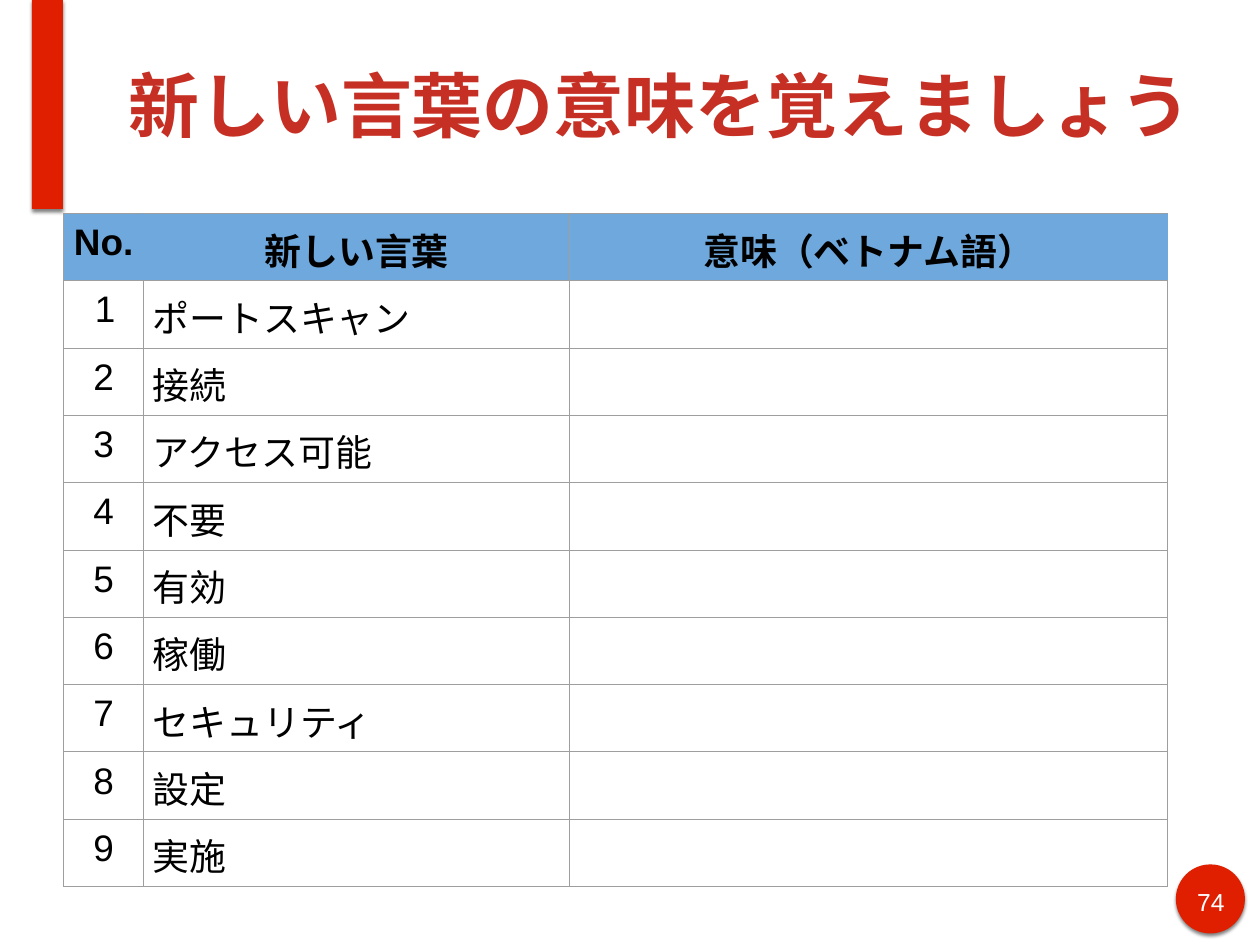
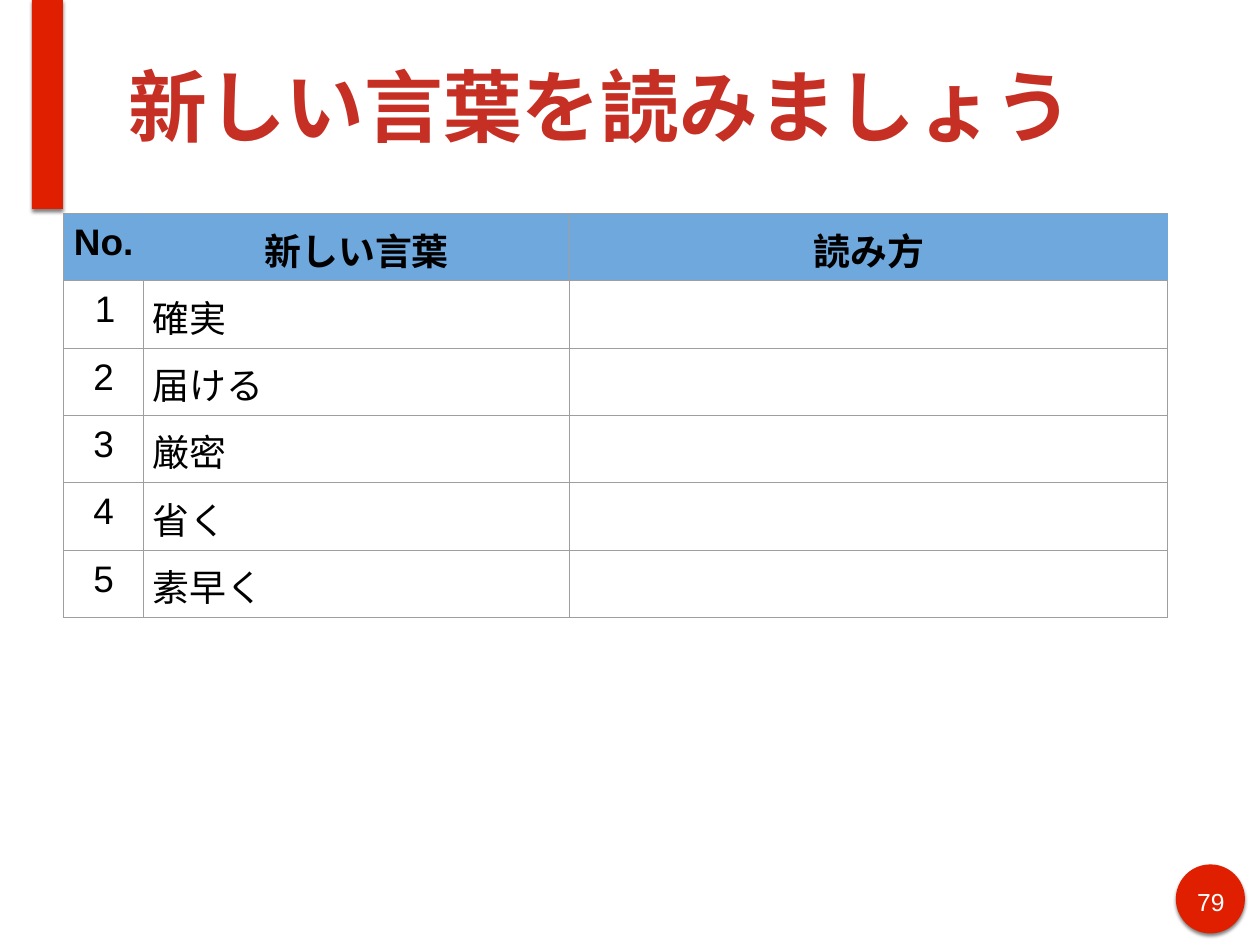
from lxml import etree
from pptx import Presentation
from pptx.dml.color import RGBColor
from pptx.enum.shapes import MSO_SHAPE
from pptx.enum.text import MSO_ANCHOR, PP_ALIGN
from pptx.oxml import parse_xml
from pptx.oxml.ns import nsdecls, qn
from pptx.util import Inches, Pt

OVAL, RECT = MSO_SHAPE.OVAL, MSO_SHAPE.RECTANGLE
LEFT, CENTER = PP_ALIGN.LEFT, PP_ALIGN.CENTER
TOP, MIDDLE = MSO_ANCHOR.TOP, MSO_ANCHOR.MIDDLE

HEX = {"red": "DF1F00", "title": "C63024", "head": "6FA8DC",
       "grid": "9E9E9E", "ink": "000000", "white": "FFFFFF"}
RGB = {name: RGBColor.from_string(code) for name, code in HEX.items()}

# Shared marks: preset shape and its place
MARKS = [(OVAL, (13.27, 9.76, 0.78, 0.78)),
         (RECT, (0.36, 0, 0.35, 2.36))]
SHADOW = ('<a:outerShdw %s blurRad="38100" dist="25400" dir="5400000" '
          'rotWithShape="0"><a:srgbClr val="000000"><a:alpha val="50000"/>'
          '</a:srgbClr></a:outerShdw>' % nsdecls("a"))
COLS = (0.9, 4.81, 6.75)
ROW = 0.76

PAGES = [
    {"no": "74", "title": "新しい言葉の意味を覚えましょう", "size": 57.6,
     "head": "意味（ベトナム語）",
     "words": ["ポートスキャン", "接続", "アクセス可能", "不要", "有効",
               "稼働", "セキュリティ", "設定", "実施"]},
    {"no": "79", "title": "新しい言葉を読みましょう", "size": 64,
     "head": "読み方",
     "words": ["確実", "届ける", "厳密", "省く", "素早く"]},
]


def write(frame, text, size, color, bold=False, align=LEFT):
    para = frame.paragraphs[0]
    para.alignment = align
    run = para.add_run()
    run.text = text
    style = {"name": "Arial", "size": Pt(size), "bold": bold}
    for key, value in style.items():
        setattr(run.font, key, value)
    run.font.color.rgb = RGB[color]
    return para


def edge(cell, colors):
    props = cell._tc.get_or_add_tcPr()
    for spot, (side, color) in enumerate(colors.items()):
        line = etree.Element(qn("a:ln" + side), w=str(Pt(0.75)))
        fill = etree.SubElement(line, qn("a:solidFill"))
        etree.SubElement(fill, qn("a:srgbClr"), val=HEX[color])
        props.insert(spot, line)


deck = Presentation()
deck.slide_width, deck.slide_height = Inches(14.22), Inches(10.67)

for page in PAGES:
    slide = deck.slides.add_slide(deck.slide_layouts[6])
    shapes = slide.shapes

    # Red band and page disc
    for kind, place in MARKS:
        mark = shapes.add_shape(kind, *map(Inches, place))
        mark.fill.solid()
        mark.fill.fore_color.rgb = RGB["red"]
        mark.line.fill.background()
        mark.shadow.inherit = False
        effects = mark._element.spPr.find(qn("a:effectLst"))
        effects.append(parse_xml(SHADOW))

    # Page number and title
    labels = [
        (page["no"], (13.42, 9.95, 0.49, 0.39), TOP, 20, "white", False, CENTER),
        (page["title"], (1.39, 0.12, 12.14, 2.12), MIDDLE,
         page["size"], "title", True, LEFT),
    ]
    for text, place, anchor, *style in labels:
        frame = shapes.add_textbox(*map(Inches, place)).text_frame
        look = {"word_wrap": True, "vertical_anchor": anchor}
        look.update({"margin_" + side: Inches(0.06)
                     for side in ("left", "top", "right", "bottom")})
        for key, value in look.items():
            setattr(frame, key, value)
        write(frame, text, *style)

    # Word table
    rows = [("No.", "新しい言葉", page["head"])]
    rows += [(str(n), word, "") for n, word in enumerate(page["words"], 1)]
    size = (0.72, 2.41, sum(COLS), ROW * len(rows))
    table = shapes.add_table(len(rows), len(COLS), *map(Inches, size)).table
    table.first_row = table.horz_banding = False
    for col, width in zip(table.columns, COLS):
        col.width = Inches(width)
    for r, row in enumerate(rows):
        table.rows[r].height = Inches(ROW)
        for c, text in enumerate(row):
            cell = table.cell(r, c)
            for side in ("left", "top", "right", "bottom"):
                setattr(cell, "margin_" + side, Inches(0.1))
            colors = dict.fromkeys("LRTB", "grid")
            if r == 0:
                cell.fill.solid()
                cell.fill.fore_color.rgb = RGB["head"]
                # Only the line before the last column shows in the header
                if c != 1:
                    colors["R"] = "head"
                else:
                    colors["L"] = "head"
            else:
                cell.fill.background()
            edge(cell, colors)
            if not text:
                continue
            first = (r, c) == (1, 0)
            middle = r == 0 or (c == 0 and not first)
            para = write(cell.text_frame, text, 30, "ink", r == 0,
                         CENTER if middle else LEFT)
            if first:
                # Hanging indent of the first number
                props = para._p.get_or_add_pPr()
                props.set("marL", str(Inches(0.5)))
                props.set("indent", str(Inches(-0.25)))

deck.save("out.pptx")
